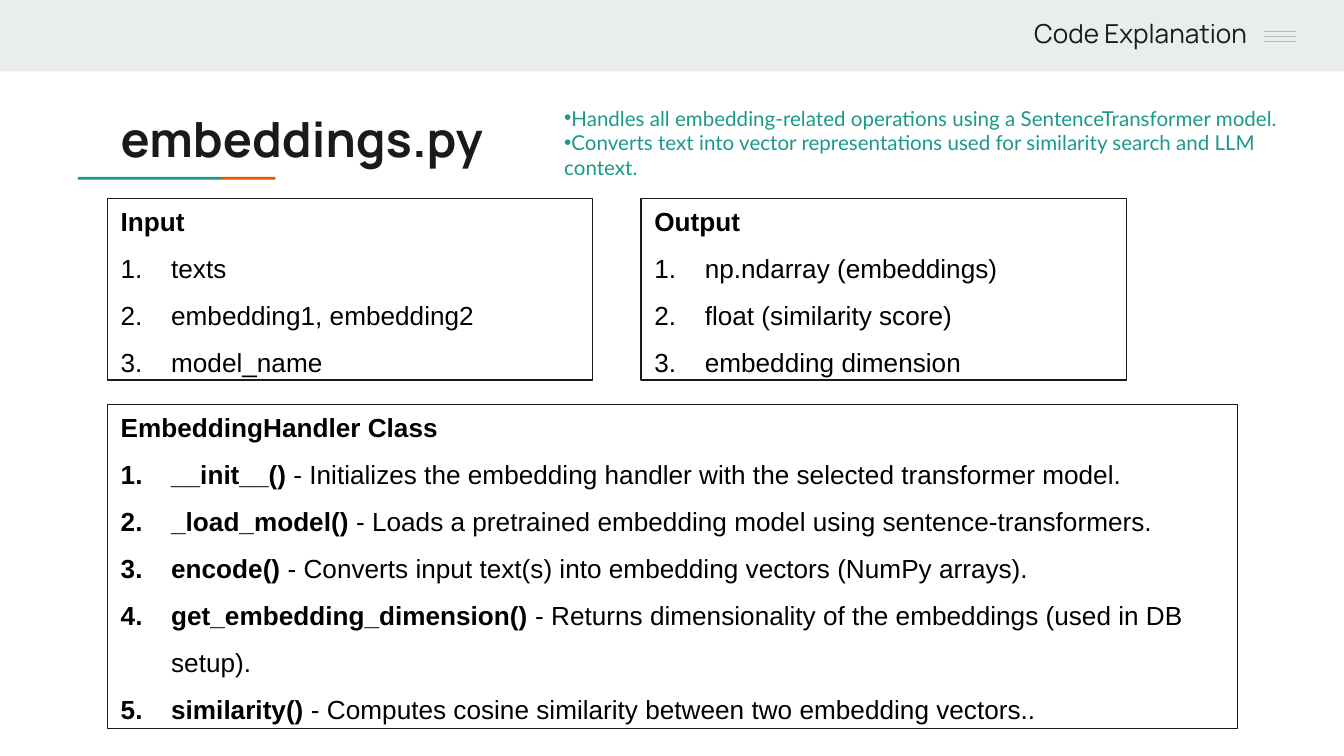
from lxml.etree import SubElement
from pptx import Presentation
from pptx.dml.color import RGBColor
from pptx.enum.shapes import MSO_CONNECTOR as Connector, MSO_SHAPE as Shape
from pptx.enum.text import MSO_ANCHOR as Anchor, MSO_AUTO_SIZE as AutoSize, PP_ALIGN as Align
from pptx.oxml.ns import qn
from pptx.util import Pt

COLORS = {
    "band": "E9EDEE",
    "orange": "EB5600",
    "teal": "1A9988",
    "menu": "B7B7B7",
    "ink": "1A1A1A",
    "black": "000000",
}
INSET = 7.2
INDENT = 27
LEFT, CARD_TOP = 57.6, 106.5

SUMMARY = [
    "Handles all embedding-related operations using a SentenceTransformer model.",
    "Converts text into vector representations used for similarity search and LLM context.",
]
INPUTS = ["texts", "embedding1, embedding2", "model_name"]
OUTPUTS = ["np.ndarray (embeddings)", "float (similarity score)", "embedding dimension"]
METHODS = [
    ("__init__()", "Initializes the embedding handler with the selected transformer model."),
    ("_load_model()", "Loads a pretrained embedding model using sentence-transformers."),
    ("encode()", "Converts input text(s) into embedding vectors (NumPy arrays)."),
    ("get_embedding_dimension()",
     "Returns dimensionality of the embeddings (used in DB setup)."),
    ("similarity()", "Computes cosine similarity between two embedding vectors.."),
]


def color(name):
    return RGBColor.from_string(COLORS[name])


def style(span, font, size, ink, bold=False):
    span.font.name = font
    span.font.size = Pt(size)
    span.font.bold = bold
    span.font.color.rgb = color(ink)


def add_bar(page, left, top, width, height, fill):
    bar = page.shapes.add_shape(Shape.RECTANGLE, Pt(left), Pt(top), Pt(width), Pt(height))
    bar.shadow.inherit = False
    bar.fill.solid()
    bar.fill.fore_color.rgb = color(fill)
    bar.line.fill.background()


def add_rule(page, left, top, width):
    rule = page.shapes.add_connector(
        Connector.STRAIGHT, Pt(left), Pt(top), Pt(left + width), Pt(top))
    rule.line.color.rgb = color("menu")
    rule.line.width = Pt(0.75)
    SubElement(rule._element.spPr, qn("a:effectLst"))


def add_text(page, left, top, width, height, lines, font, size, ink,
             bold=False, align=Align.LEFT, inset=INSET):
    box = page.shapes.add_textbox(Pt(left), Pt(top), Pt(width), Pt(height))
    frame = box.text_frame
    frame.word_wrap = True
    frame.margin_top = frame.margin_bottom = Pt(inset)
    frame.text = "\n".join(lines)
    for para in frame.paragraphs:
        para.alignment = align
        style(para.runs[0], font, size, ink, bold)
    return frame


def add_bullet(para):
    props = para._p.get_or_add_pPr()
    SubElement(props, qn("a:buFont"), typeface="Arial")
    SubElement(props, qn("a:buChar"), char="•")


def add_number(para):
    para.line_spacing = 1.5
    props = para._p.get_or_add_pPr()
    props.set("marL", str(Pt(INDENT)))
    props.set("indent", str(-Pt(INDENT)))
    ink = SubElement(props, qn("a:buClr"))
    SubElement(ink, qn("a:srgbClr"), val=COLORS["black"])
    SubElement(props, qn("a:buFont"), typeface="Arial")
    SubElement(props, qn("a:buAutoNum"), type="arabicPeriod")


def add_card(page, left, top, width, height, heading, items):
    """Outlined box with a bold heading; each item is (bold part, plain part)."""
    card = page.shapes.add_shape(Shape.RECTANGLE, Pt(left), Pt(top), Pt(width), Pt(height))
    card.shadow.inherit = False
    card.fill.background()
    card.line.color.rgb = color("ink")
    card.line.width = Pt(0.75)
    frame = card.text_frame
    frame.word_wrap = True
    frame.auto_size = AutoSize.SHAPE_TO_FIT_TEXT
    frame.vertical_anchor = Anchor.TOP
    frame.text = heading
    para = frame.paragraphs[0]
    para.alignment = Align.LEFT
    style(para.runs[0], "Arial", 14, "black", True)
    for strong, plain in items:
        para = frame.add_paragraph()
        para.alignment = Align.LEFT
        add_number(para)
        for text, bold in ((strong, True), (plain, False)):
            if text:
                span = para.add_run()
                span.text = text
                style(span, "Arial", 14, "black", bold)


def main():
    deck = Presentation()
    deck.slide_width, deck.slide_height = Pt(720), Pt(405)
    page = deck.slides.add_slide(deck.slide_layouts[6])

    # Header band with menu icon
    add_bar(page, 0, 0, 720, 38.2, "band")
    for step in range(3):
        add_rule(page, 677, 17 + 2.65 * step, 17.3)
    add_text(page, 370, 2.2, 305.3, 31, ["Code Explanation"],
             "Manrope", 14, "ink", align=Align.RIGHT)

    # Title with two-colour underline
    add_bar(page, 41.8, 94.8, 76.7, 1.5, "teal")
    add_bar(page, 118.5, 94.8, 29, 1.5, "orange")
    add_text(page, LEFT, 51.1, 605.5, 42.5, ["embeddings.py"],
             "Manrope", 26, "ink", bold=True)

    # Summary
    summary = add_text(page, 295.2, 52.6, 424.8, 47.5, SUMMARY,
                       "Lato", 11, "teal", inset=3.6)
    summary.vertical_anchor = Anchor.MIDDLE
    summary.auto_size = AutoSize.SHAPE_TO_FIT_TEXT
    for para in summary.paragraphs:
        add_bullet(para)

    # Input and output cards
    for left, heading, names in ((LEFT, "Input", INPUTS), (343.5, "Output", OUTPUTS)):
        add_card(page, left, CARD_TOP, 260, 97.2, heading, [("", name) for name in names])

    # Class card
    add_card(page, LEFT, 216.7, 605.5, 173.5, "EmbeddingHandler Class",
             [(name, f" - {purpose}") for name, purpose in METHODS])

    deck.save("out.pptx")


if __name__ == "__main__":
    main()
